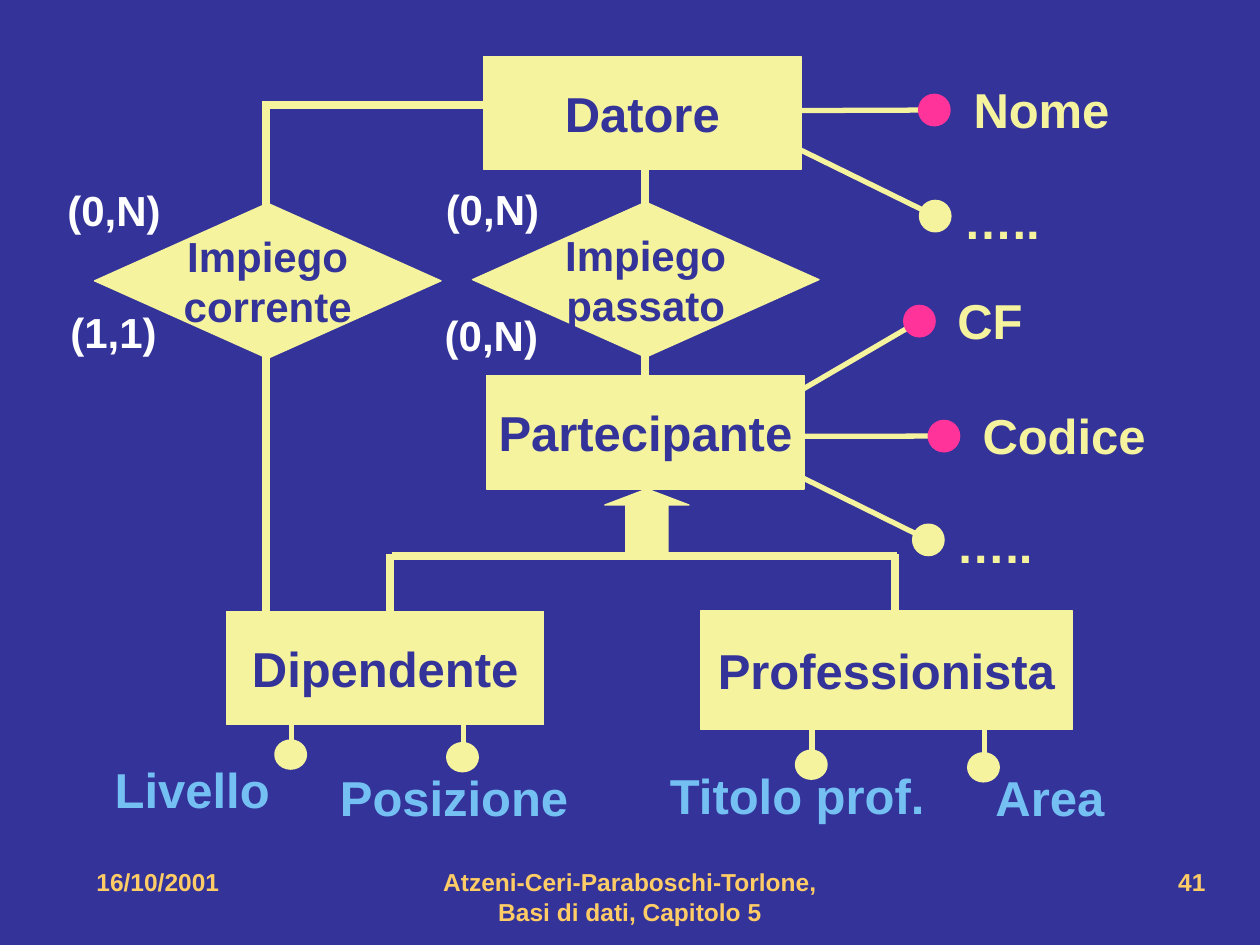
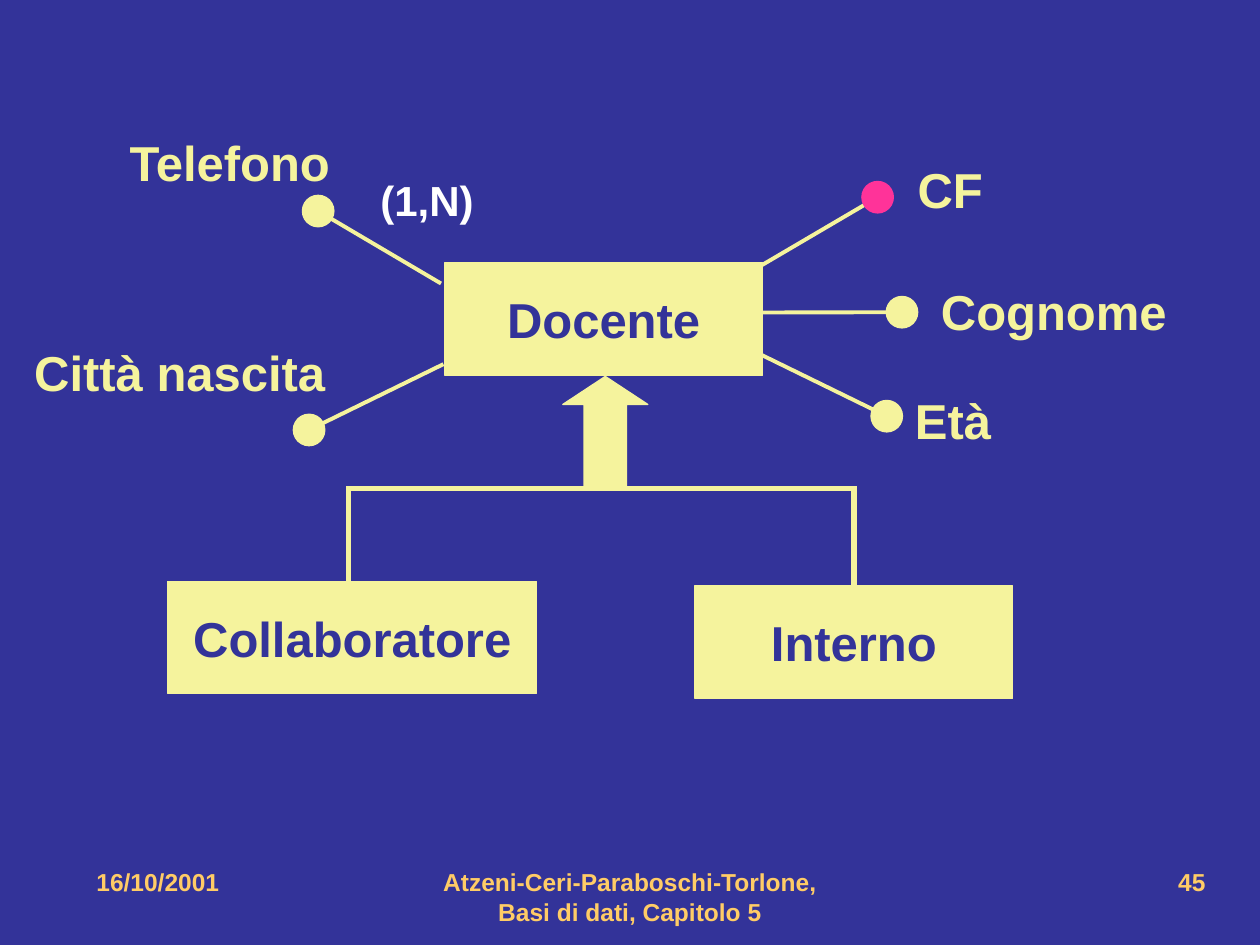
"""Build two entity-relationship slides, one on employers and one on teachers."""
from lxml.etree import SubElement
from pptx import Presentation
from pptx.dml.color import RGBColor
from pptx.enum.shapes import MSO_CONNECTOR, MSO_SHAPE
from pptx.enum.text import MSO_ANCHOR, MSO_AUTO_SIZE, PP_ALIGN
from pptx.oxml.ns import qn
from pptx.util import Pt

rgb = RGBColor.from_string
BLUE, YELLOW, PINK = "333399", "F5F39D", "FF3399"
SKY, WHITE, ORANGE = "75C0F3", "FFFFFF", "FFCC66"

LABEL = {"word_wrap": False, "auto_size": MSO_AUTO_SIZE.SHAPE_TO_FIT_TEXT,
         "vertical_anchor": MSO_ANCHOR.TOP}
CARDINALITY = {**LABEL, "vertical_anchor": MSO_ANCHOR.MIDDLE}
INSIDE = {"word_wrap": False, "vertical_anchor": MSO_ANCHOR.MIDDLE}
FOOTER = {"word_wrap": True, "vertical_anchor": MSO_ANCHOR.TOP}

EMPLOYER = {
    "number": "41",
    "attribute_weight": 3,
    "link_weight": 4.5,
    "links": [
        (368.4, 88.6, 368.4, 232.6),
        (152.2, 57.6, 152.2, 370),
        (152, 59.8, 282.2, 59.8),
        (223, 316.8, 223, 368),
        (511.7, 316.8, 511.7, 368),
        (223.9, 317.5, 512.6, 317.5),
    ],
    "arrow": (345.6, 279.4, 48.2, 36.7, 0.25),
    "entities": [
        ("Datore", 276.3, 32.2, 181.4, 64.8),
        ("Partecipante", 278.1, 214.6, 181.4, 64.8),
        ("Dipendente", 129.4, 349.4, 181.4, 64.8),
        ("Professionista", 400.3, 349.2, 212.4, 67.7),
    ],
    "relationships": [("Impiego\ncorrente", 54, 116.2), ("Impiego\npassato", 270, 115.5)],
    "cardinalities": [
        ("(0,N)", 30.7, 101.9, 69),
        ("(1,1)", 31.9, 171.6, 66),
        ("(0,N)", 246.9, 101, 69),
        ("(0,N)", 246.3, 173.2, 69),
    ],
    "attributes": [
        ("Nome", 549.2, 41.8, 95, (452.9, 63.2), (533.9, 62.9), PINK),
        ("…..", 543.6, 105.1, 61, (457.9, 85.9), (534.4, 123.5), YELLOW),
        ("CF", 540, 162.3, 54, (455, 224.6), (525.4, 183.5), PINK),
        ("Codice", 554.4, 228.2, 111, (457.9, 249.3), (539.4, 249.2), PINK),
        ("…..", 539.5, 290.2, 61, (454.3, 270.9), (530.5, 308.5), YELLOW),
    ],
    "hanging": [
        ("Livello", 58.5, 430.6, 105, 166.5, 424),
        ("Posizione", 187.2, 434.9, 147, 264.7, 425.5),
        ("Titolo prof.", 375.8, 433.7, 163, 464, 429.8),
        ("Area", 561.8, 434.9, 80, 562.4, 431.3),
    ],
}

TEACHER = {
    "number": "45",
    "attribute_weight": 2.25,
    "link_weight": 3,
    "links": [
        (199, 277.9, 199, 342.7),
        (488, 277.9, 488, 342.7),
        (200.2, 279, 488.2, 279),
    ],
    "arrow": (321.6, 215.1, 48.6, 64.2, 0.33),
    "entities": [
        ("Docente", 254.2, 150, 181.4, 64.8),
        ("Collaboratore", 95.8, 332.2, 211, 64.1),
        ("Interno", 397.2, 334.6, 181.4, 64.8),
    ],
    "relationships": [],
    "cardinalities": [("(1,N)", 209.5, 96.1, 69)],
    "attributes": [
        ("CF", 517.2, 87.8, 54, (431.3, 153.9), (501.5, 112.7), PINK),
        ("Cognome", 530.6, 157.4, 146, (434.2, 178.6), (515.4, 178.4), YELLOW),
        ("Età", 515.8, 219.6, 61, (429.8, 200.2), (506.7, 237.8), YELLOW),
        ("Telefono", 67, 72, 134, (252, 162), (181.8, 120.6), YELLOW),
        ("Città nascita", 12.5, 192.2, 183, (253.4, 208.1), (176.6, 245.7), YELLOW),
    ],
    "hanging": [],
}


def add_form(page, kind, left, top, width, height, colour=YELLOW, weight=0.75):
    """Add a flat preset shape whose outline has the colour of its fill."""
    form = page.shapes.add_shape(kind, Pt(left), Pt(top), Pt(width), Pt(height))
    form.shadow.inherit = False
    form.fill.solid()
    form.fill.fore_color.rgb = rgb(colour)
    form.line.color.rgb = rgb(colour)
    form.line.width = Pt(weight)
    return form


def write(box, text, size, colour, frame_format, align=PP_ALIGN.CENTER):
    """Put bold text in a box, one paragraph for each line."""
    frame = box.text_frame
    frame.text = text
    for name, value in frame_format.items():
        setattr(frame, name, value)
    for para in frame.paragraphs:
        para.alignment = align
        for span in para.runs:
            for name, value in {"name": "Arial", "size": Pt(size), "bold": True}.items():
                setattr(span.font, name, value)
            span.font.color.rgb = rgb(colour)


deck = Presentation()
deck.slide_width, deck.slide_height = Pt(720), Pt(540)
background = deck.slide_master.background.fill
background.solid()
background.fore_color.rgb = rgb(BLUE)

for diagram in (EMPLOYER, TEACHER):
    page = deck.slides.add_slide(deck.slide_layouts[6])

    lines = [(*link, diagram["link_weight"]) for link in diagram["links"]]
    for *_, root, dot, colour in diagram["attributes"]:
        lines.append((*root, *dot, diagram["attribute_weight"]))
    for *_, stem, dot_top in diagram["hanging"]:
        lines.append((stem, dot_top - 41.5, stem, dot_top + 1, diagram["attribute_weight"]))
    for x1, y1, x2, y2, weight in lines:
        line = page.shapes.add_connector(MSO_CONNECTOR.STRAIGHT, Pt(x1), Pt(y1), Pt(x2), Pt(y2))
        line.line.color.rgb = rgb(YELLOW)
        line.line.width = Pt(weight)
        SubElement(line._element.spPr, qn("a:effectLst"))

    *place, head = diagram["arrow"]
    arrow = add_form(page, MSO_SHAPE.UP_ARROW, *place)
    arrow.adjustments[0], arrow.adjustments[1] = 0.5, head

    for name, *place in diagram["entities"]:
        write(add_form(page, MSO_SHAPE.RECTANGLE, *place), name, 28, BLUE, INSIDE)
    for name, left, top in diagram["relationships"]:
        diamond = add_form(page, MSO_SHAPE.DIAMOND, left, top, 198, 88.6)
        write(diamond, name, 24, BLUE, INSIDE)

    labels = []
    for name, left, top, width, root, (x, y), colour in diagram["attributes"]:
        add_form(page, MSO_SHAPE.OVAL, x - 9, y - 9, 18, 18, colour)
        labels.append((name, left, top, width, 41, 28, YELLOW, LABEL, PP_ALIGN.LEFT))
    for name, left, top, width, stem, dot_top in diagram["hanging"]:
        add_form(page, MSO_SHAPE.OVAL, stem - 8.3, dot_top, 15.8, 14.4, weight=3)
        labels.append((name, left, top, width, 41, 28, SKY, LABEL, PP_ALIGN.LEFT))
    for name, left, top, width in diagram["cardinalities"]:
        labels.append((name, left, top, width, 36, 24, WHITE, CARDINALITY, PP_ALIGN.CENTER))
    for text, left, width, align in (
        ("16/10/2001", 48, 156, PP_ALIGN.LEFT),
        ("Atzeni-Ceri-Paraboschi-Torlone, Basi di dati, Capitolo 5", 246, 228, PP_ALIGN.CENTER),
        (diagram["number"], 516, 180, PP_ALIGN.RIGHT),
    ):
        labels.append((text, left, 492, width, 36, 14, ORANGE, FOOTER, align))
    for text, left, top, width, height, *style in labels:
        box = page.shapes.add_textbox(Pt(left), Pt(top), Pt(width), Pt(height))
        write(box, text, *style)

deck.save("out.pptx")
